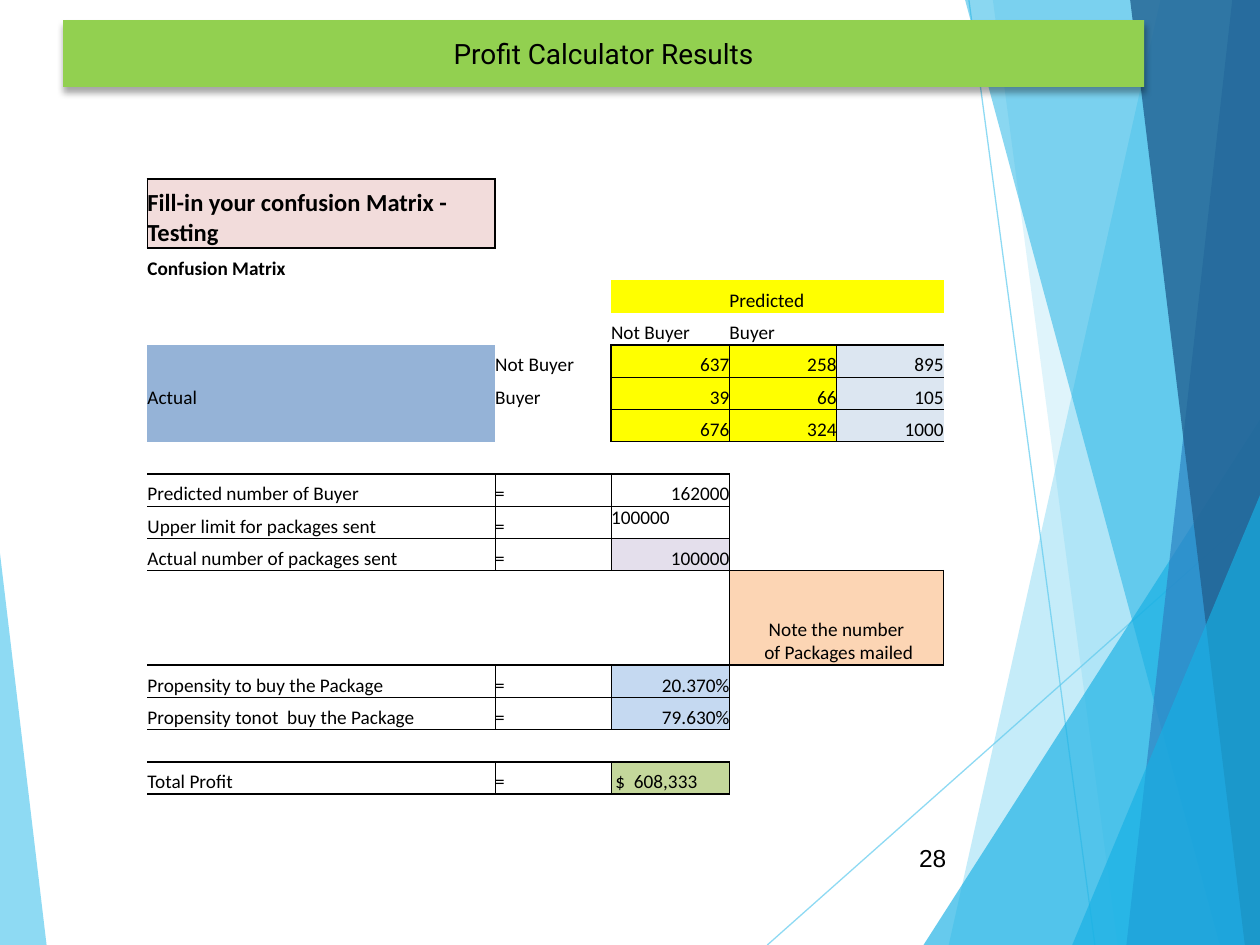
from lxml import etree
from pptx import Presentation
from pptx import util as u
from pptx.dml.color import RGBColor
from pptx.enum import shapes, text
from pptx.oxml.ns import qn

SIDES = {"L": (0, -1, "R"), "R": (0, 1, "L"), "T": (-1, 0, "B"), "B": (1, 0, "T")}
LEFT, CENTER, RIGHT = text.PP_ALIGN.LEFT, text.PP_ALIGN.CENTER, text.PP_ALIGN.RIGHT
BOTTOM, TOP = text.MSO_ANCHOR.BOTTOM, text.MSO_ANCHOR.TOP


def color(hex_string):
    return RGBColor.from_string(hex_string)


def child(parent, tag, **attributes):
    return etree.SubElement(parent, qn(tag), **attributes)


def set_opacity(shape, percent):
    for item in shape.element.spPr.iter(qn("a:srgbClr")):
        child(item, "a:alpha", val=str(percent * 1000))


class SlideBuilder:
    black = "000000"
    body_font = "Calibri"
    body_size = 11

    def __init__(self, slide):
        self.slide = slide

    def style(self, paragraph, size, font, bold=False, align=LEFT):
        paragraph.alignment = align
        for run in paragraph.runs:
            run.font.size = u.Pt(size)
            run.font.name = font
            run.font.bold = bold
            run.font.color.rgb = color(self.black)

    def finish(self, shape, fill, opacity):
        shape.shadow.inherit = False
        shape.fill.solid()
        shape.fill.fore_color.rgb = color(fill)
        shape.line.fill.background()
        set_opacity(shape, opacity)

    def line(self, start, end, line_color, opacity):
        points = [u.Inches(value) for value in (*start, *end)]
        line = self.slide.shapes.add_connector(shapes.MSO_CONNECTOR.STRAIGHT, *points)
        line.line.color.rgb = color(line_color)
        line.line.width = u.Pt(0.75)
        set_opacity(line, opacity)
        child(line.element.spPr, "a:effectLst")

    def panel(self, top_x, bottom_x, fill, opacity):
        """Full-height panel that reaches the right edge of the slide."""
        corners = [(top_x, 0), (10, 0), (10, 7.5), (bottom_x, 7.5)]
        points = [(u.Inches(x), u.Inches(y)) for x, y in corners]
        builder = self.slide.shapes.build_freeform(*points[0], scale=1.0)
        builder.add_line_segments(points[1:], close=True)
        self.finish(builder.convert_to_shape(), fill, opacity)

    def triangle(self, box, apex, fill, opacity):
        shape = self.slide.shapes.add_shape(
            shapes.MSO_SHAPE.ISOSCELES_TRIANGLE, *map(u.Inches, box))
        shape.adjustments[0] = apex
        self.finish(shape, fill, opacity)

    def label(self, box, words, size, font, align):
        shape = self.slide.shapes.add_textbox(*map(u.Inches, box))
        frame = shape.text_frame
        frame.word_wrap = True
        frame.vertical_anchor = text.MSO_ANCHOR.MIDDLE
        frame.text = words
        self.style(frame.paragraphs[0], size, font, align=align)

    def title(self, box, words, fill):
        title = self.slide.shapes.title
        title.left, title.top, title.width, title.height = map(u.Inches, box)
        title.fill.solid()
        title.fill.fore_color.rgb = color(fill)
        frame = title.text_frame
        frame.text = words
        frame.word_wrap = False
        frame.auto_size = text.MSO_AUTO_SIZE.NONE
        frame.vertical_anchor = text.MSO_ANCHOR.MIDDLE
        self.style(frame.paragraphs[0], 16, "Roboto", align=CENTER)
        effects = child(title.element.spPr, "a:effectLst")
        shadow = child(effects, "a:outerShdw", blurRad=str(u.Pt(4)), dist=str(u.Pt(3)),
                       dir="5400000", rotWithShape="0")
        shade = child(shadow, "a:srgbClr", val=self.black)
        child(shade, "a:alpha", val="35000")
        # Bring the banner in front of the background panels
        title.element.getparent().append(title.element)

    def cell(self, cell, words="", fill=None, align=LEFT, size=None, bold=False, anchor=BOTTOM):
        cell.margin_left = cell.margin_right = cell.margin_top = cell.margin_bottom = 0
        cell.vertical_anchor = anchor
        paragraph = cell.text_frame.paragraphs[0]
        if words:
            paragraph.text = words
            self.style(paragraph, size or self.body_size, self.body_font, bold, align)
        else:
            child(paragraph._p, "a:endParaRPr", sz=str(self.body_size * 100))
        if fill:
            cell.fill.solid()
            cell.fill.fore_color.rgb = color(fill)
        else:
            cell.fill.background()

    def borders(self, cell, widths):
        properties = cell._tc.get_or_add_tcPr()
        for side in SIDES:
            width = widths.get(side, 0)
            border = child(properties, "a:ln" + side, w=str(u.Pt(width)))
            if width:
                child(child(border, "a:solidFill"), "a:srgbClr", val=self.black)
            else:
                child(border, "a:noFill")

    def table(self, left, top, widths, heights, contents, boxes, merges):
        frame = self.slide.shapes.add_table(
            len(heights), len(widths), u.Inches(left), u.Inches(top),
            u.Inches(sum(widths)), u.Inches(sum(heights)))
        table = frame.table
        table.first_row = table.horz_banding = False
        for column, width in zip(table.columns, widths):
            column.width = u.Inches(width)
        for row, height in zip(table.rows, heights):
            row.height = u.Inches(height)
        for start, end in merges:
            table.cell(*start).merge(table.cell(*end))
        edges = box_edges(boxes)
        for row in range(len(heights)):
            for column in range(len(widths)):
                cell = table.cell(row, column)
                self.borders(cell, edges.get((row, column), {}))
                self.cell(cell, **contents.get((row, column), {}))


def box_edges(boxes):
    """Thick outlines and thin inner rules, shared with the neighbouring cells."""
    edges = {}
    for top, left, bottom, right, open_side in boxes:
        for row in range(top, bottom + 1):
            for column in range(left, right + 1):
                outer = {"L": column == left, "R": column == right,
                         "T": row == top, "B": row == bottom}
                for side, (down, across, opposite) in SIDES.items():
                    if outer[side] and side == open_side:
                        continue
                    width = 1 if outer[side] else 0.5
                    edges.setdefault((row, column), {})[side] = width
                    edges.setdefault((row + down, column + across), {})[opposite] = width
    return edges


presentation = Presentation()
presentation.slide_width, presentation.slide_height = u.Inches(10), u.Inches(7.5)
builder = SlideBuilder(presentation.slides.add_slide(presentation.slide_layouts[5]))

# Background facets
SKY, CYAN, BLUE, NAVY = "5FCBEF", "17B0E4", "2E83C3", "226292"
builder.line((7.69, 0), (8.69, 7.5), SKY, 70)
builder.line((10, 4.03), (6.09, 7.5), SKY, 70)
builder.panel(9.21, 7.53, SKY, 36)
builder.panel(7.88, 8.87, SKY, 20)
builder.triangle((7.33, 3.33, 2.67, 4.17), 1, CYAN, 66)
builder.panel(7.66, 9.68, CYAN, 50)
builder.panel(9.78, 8.94, BLUE, 70)
builder.panel(8.97, 9.88, NAVY, 80)
builder.triangle((8.51, 3.93, 1.49, 3.57), 1, CYAN, 66)
builder.triangle((0, 4.39, 0.37, 3.11), 0, SKY, 70)

# Page number
builder.label((7.05, 6.61, 0.56, 0.4), "28", 14, "Arial", RIGHT)

# Confusion matrix
YELLOW, STEEL, PALE_BLUE = "FFFF00", "95B3D7", "DCE6F1"
contents = {
    (0, 0): dict(words="Fill-in your confusion Matrix - Testing", fill="F2DCDB", size=14, bold=True),
    (1, 0): dict(words="Confusion Matrix", bold=True),
    (2, 2): dict(fill=YELLOW),
    (2, 3): dict(words="Predicted", fill=YELLOW),
    (3, 2): dict(words="Not Buyer"), (3, 3): dict(words="Buyer"),
    (4, 0): dict(fill=STEEL), (5, 0): dict(words="Actual", fill=STEEL), (6, 0): dict(fill=STEEL),
    (4, 1): dict(words="Not Buyer"), (5, 1): dict(words="Buyer"),
    (11, 3): dict(words="Note the number\v of Packages mailed", fill="FCD5B4", align=CENTER),
}
counts = [(637, 258, 895), (39, 66, 105), (676, 324, 1000)]
for row, values in enumerate(counts, 4):
    for column, (value, fill) in enumerate(zip(values, (YELLOW, YELLOW, PALE_BLUE)), 2):
        contents[row, column] = dict(words=str(value), fill=fill, align=RIGHT)

# Profit calculation
results = [
    (8, "Predicted number of Buyer", dict(words="162000", align=RIGHT)),
    (9, "Upper limit for packages sent", dict(words="100000", anchor=TOP)),
    (10, "Actual number of packages sent", dict(words="100000", fill="E4DFEC", align=RIGHT)),
    (12, "Propensity to buy the Package", dict(words="20.370%", fill="C5D9F1", align=RIGHT)),
    (13, "Propensity tonot  buy the Package", dict(words="79.630%", fill="C5D9F1", align=RIGHT)),
    (15, "Total Profit", dict(words=" $  608,333 ", fill="C4D79B")),
]
for row, name, value in results:
    contents[row, 0] = dict(words=name)
    contents[row, 1] = dict(words="=")
    contents[row, 2] = value

# Outlined blocks: top, left, bottom, right, side without a border
boxes = [
    (0, 0, 0, 0, None),
    (4, 2, 5, 3, None), (4, 4, 5, 4, "R"),
    (6, 2, 6, 2, None), (6, 3, 6, 3, None), (6, 4, 6, 4, "R"),
    (8, 0, 10, 2, "L"), (12, 0, 13, 2, "L"), (15, 0, 15, 2, "L"),
]
note_row = (11, 3, 11, 4, "R")
heights = [0.55] + [0.256] * 10 + [0.75] + [0.256] * 4
builder.table(1.17, 1.42, [2.76, 0.92, 0.94, 0.85, 0.85], heights, contents,
              boxes + [note_row], [((2, 3), (2, 4)), ((11, 3), (11, 4))])

# Title banner
builder.title((0.5, 0.16, 8.58, 0.53), "Profit Calculator Results", "92D050")

presentation.save("out.pptx")
